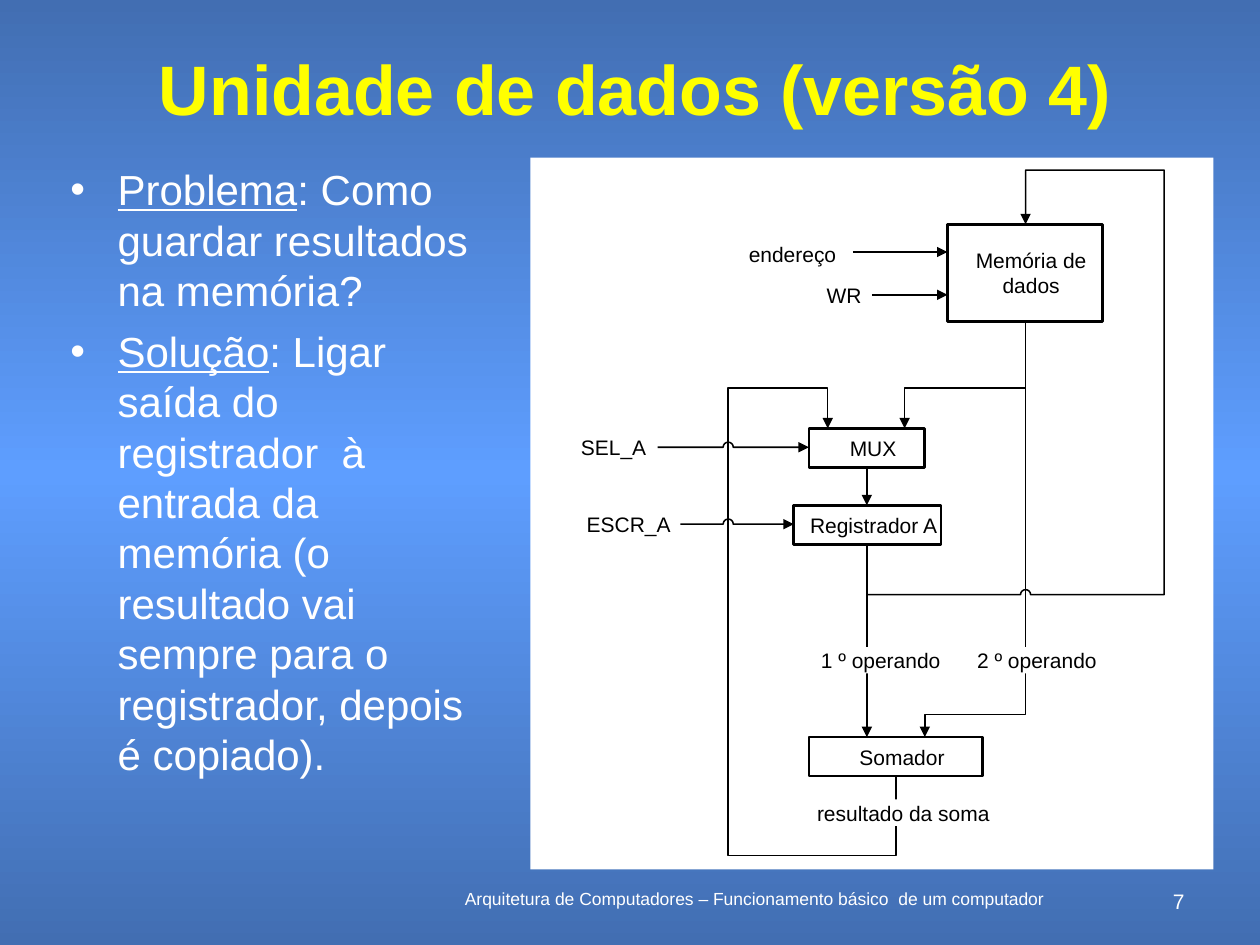
"""Builds the slide on the data unit (version 4), placed on a grid of 100 columns by 75 rows."""
import copy
import math

import pptx
import pptx.dml.color
import pptx.enum.shapes
import pptx.enum.text
import pptx.oxml
import pptx.oxml.ns
import pptx.util

COLUMNS, ROWS = 100, 75
CELL = pptx.util.Inches(0.1)
WHITE = pptx.dml.color.RGBColor(0xFF, 0xFF, 0xFF)
BLACK = pptx.dml.color.RGBColor(0x00, 0x00, 0x00)
YELLOW = pptx.dml.color.RGBColor(0xFF, 0xFF, 0x00)
DEEP_BLUE = pptx.dml.color.RGBColor(0x42, 0x6E, 0xB2)
LIGHT_BLUE = pptx.dml.color.RGBColor(0x5E, 0x9E, 0xFF)
LEFT = pptx.enum.text.PP_ALIGN.LEFT
CENTER = pptx.enum.text.PP_ALIGN.CENTER
RIGHT = pptx.enum.text.PP_ALIGN.RIGHT
MIDDLE = pptx.enum.text.MSO_ANCHOR.MIDDLE
RECTANGLE = pptx.enum.shapes.MSO_SHAPE.RECTANGLE
STRAIGHT = pptx.enum.shapes.MSO_CONNECTOR.STRAIGHT

NO_MARGINS = {"margin_left": 0, "margin_right": 0, "margin_top": 0, "margin_bottom": 0}
TOPICS = (
    ("Problema", ": Como guardar resultados na memória?"),
    ("Solução", ": Ligar saída do registrador  à entrada da memória "
                "(o resultado vai sempre para o registrador, depois é copiado)."),
)
UNITS = (
    ("Memória de dados", 75.2, 17.8, 12.3, 7.7),
    ("MUX", 64.2, 34, 9.2, 3.1),
    ("Registrador A", 63, 40.1, 11.7, 3.1),
    ("Somador", 64.2, 58.5, 13.8, 3.1),
)
LABELS = (
    ("endereço", 62.9, 20.2, 7),
    ("WR", 67, 23.4, 3),
    ("SEL_A", 48.7, 35.5, 5.4),
    ("ESCR_A", 49.9, 41.6, 7),
    ("1 º operando", 69.9, 52.4, 10),
    ("2 º operando", 82.3, 52.4, 10),
    ("resultado da soma", 71.7, 64.5, 14.2),
)


def grid(*cells):
    """Turn grid positions into lengths."""
    return [round(cell * CELL) for cell in cells]


def apply(target, values):
    """Set each format value on the target."""
    for key, value in values.items():
        setattr(target, key, value)


def add_run(paragraph, text, color, **font):
    """Add one run of Arial text."""
    run = paragraph.add_run()
    run.text = text
    apply(run.font, {"name": "Arial", **font})
    run.font.color.rgb = color


def add_text(slide, text, place, color, size, align, frame=None, spacing=None, **font):
    """Add a text box with one paragraph."""
    box = slide.shapes.add_textbox(*grid(*place))
    apply(box.text_frame, {"word_wrap": True, **(frame or {})})
    paragraph = box.text_frame.paragraphs[0]
    apply(paragraph, {"alignment": align, "line_spacing": spacing})
    add_run(paragraph, text, color, size=pptx.util.Pt(size), **font)
    return box


def add_background(slide):
    """Fill the slide with a vertical gradient that is lightest halfway."""
    fill = slide.background.fill
    fill.gradient()
    fill.gradient_angle = 270
    first = slide.element.find(".//" + pptx.oxml.ns.qn("a:gs"))
    first.addnext(copy.deepcopy(first))
    for stop, color, position in zip(
            fill.gradient_stops, (DEEP_BLUE, LIGHT_BLUE, DEEP_BLUE), (0, 0.5, 1)):
        stop.color.rgb = color
        stop.position = position


def add_bullet(paragraph, indent):
    """Give the paragraph a hanging bullet."""
    properties = paragraph._p.get_or_add_pPr()
    properties.set("marL", str(indent))
    properties.set("indent", str(-indent))
    for tag in ('buFont typeface="Arial"', 'buChar char="•"'):
        properties.append(
            pptx.oxml.parse_xml(f'<a:{tag} {pptx.oxml.ns.nsdecls("a")}/>'))


def add_topics(slide):
    """Add the bulleted problem and solution."""
    frame = slide.shapes.add_textbox(*grid(4.6, 12.5, 35.1, 54.4)).text_frame
    frame.word_wrap = True
    for index, (term, explanation) in enumerate(TOPICS):
        paragraph = frame.add_paragraph() if index else frame.paragraphs[0]
        add_bullet(paragraph, *grid(3.75))
        apply(paragraph, {"alignment": LEFT, "line_spacing": pptx.util.Pt(28.8),
                          "space_before": pptx.util.Pt(6 * index)})
        size = pptx.util.Pt(24)
        add_run(paragraph, term, WHITE, size=size, underline=True)
        add_run(paragraph, explanation, WHITE, size=size)


def add_rectangle(slide, place):
    """Add a plain white rectangle."""
    rectangle = slide.shapes.add_shape(RECTANGLE, *grid(*place))
    rectangle.shadow.inherit = False
    rectangle.fill.solid()
    rectangle.fill.fore_color.rgb = WHITE
    rectangle.line.fill.background()
    return rectangle


def add_unit(slide, name, *place):
    """Add a hardware unit, its name a little right of the middle."""
    unit = add_rectangle(slide, place)
    unit.line.color.rgb = BLACK
    unit.line.width = pptx.util.Pt(1.5)
    frame = unit.text_frame
    apply(frame, {**NO_MARGINS, "margin_left": CELL, "word_wrap": True,
                  "vertical_anchor": MIDDLE})
    frame.paragraphs[0].alignment = CENTER
    add_run(frame.paragraphs[0], name, BLACK, size=pptx.util.Pt(12))


def add_label(slide, text, center, middle, width, height=2.1):
    """Add a signal label that masks the wire behind it."""
    place = (center - width / 2, middle - height / 2, width, height)
    label = add_text(slide, text, place, BLACK, 12, CENTER,
                     {**NO_MARGINS, "word_wrap": False, "vertical_anchor": MIDDLE})
    label.fill.solid()
    label.fill.fore_color.rgb = WHITE


def hop(x, y, radius=0.4, steps=8):
    """Return the points of a half circle that jumps over another wire."""
    angles = [math.pi * (1 - step / steps) for step in range(steps + 1)]
    return [(x + radius * math.cos(a), y - radius * math.sin(a)) for a in angles]


def add_wire(slide, *points):
    """Add a wire that ends in an arrowhead."""
    corners = [grid(*point) for point in points]
    if len(corners) == 2:
        wire = slide.shapes.add_connector(STRAIGHT, *corners[0], *corners[1])
    else:
        builder = slide.shapes.build_freeform(*corners[0])
        builder.add_line_segments(corners[1:], close=False)
        wire = builder.convert_to_shape()
        wire.fill.background()
    wire.line.color.rgb = BLACK
    wire.line.width = pptx.util.Pt(0.88)
    namespace = pptx.oxml.ns.nsdecls("a")
    properties = wire.element.spPr
    properties.find(pptx.oxml.ns.qn("a:ln")).append(
        pptx.oxml.parse_xml(f'<a:tailEnd {namespace} type="triangle"/>'))
    properties.append(pptx.oxml.parse_xml(f"<a:effectLst {namespace}/>"))


def add_diagram(slide):
    """Draw the data path on its white panel."""
    add_rectangle(slide, (42.1, 12.5, 54.2, 56.5))
    memory, register, loop = 81.4, 68.8, 57.8
    add_wire(slide, (67.7, 20), (75.2, 20))
    add_wire(slide, (69.2, 23.4), (75.2, 23.4))
    add_wire(slide, (52.2, 35.5), *hop(loop, 35.5), (64.2, 35.5))
    add_wire(slide, (54, 41.6), *hop(loop, 41.6), (63, 41.6))
    add_wire(slide, (register, 37.1), (register, 40.1))
    add_wire(slide, (register, 43.2), (register, 58.5))
    add_wire(slide, (memory, 25.5), (memory, 30.8), (71.8, 30.8), (71.8, 34))
    add_wire(slide, (memory, 25.5), (memory, 56.7), (73.4, 56.7), (73.4, 58.5))
    add_wire(slide, (71.1, 61.6), (71.1, 67.9), (loop, 67.9), (loop, 30.8),
             (65.7, 30.8), (65.7, 34))
    add_wire(slide, (register, 43.2), (register, 47.2), *hop(memory, 47.2),
             (92.4, 47.2), (92.4, 13.5), (memory, 13.5), (memory, 17.8))
    for unit in UNITS:
        add_unit(slide, *unit)
    for label in LABELS:
        add_label(slide, *label)


def main():
    """Build and save the slide."""
    deck = pptx.Presentation()
    apply(deck, {"slide_width": COLUMNS * CELL, "slide_height": ROWS * CELL})
    slide = deck.slides.add_slide(deck.slide_layouts[6])
    add_background(slide)
    add_text(slide, "Arquitetura de Computadores – Funcionamento básico  de um computador",
             (33.2, 70, 53.3, 2.5), WHITE, 10, CENTER)
    add_text(slide, "7", (90.8, 70, 4.2, 1.7), WHITE, 12, RIGHT)
    add_text(slide, "Unidade de dados (versão 4)", (7.5, 4.2, 85.8, 6.7), YELLOW, 40,
             CENTER, {"vertical_anchor": MIDDLE}, spacing=0.8, bold=True)
    add_topics(slide)
    add_diagram(slide)
    deck.save("out.pptx")


if __name__ == "__main__":
    main()
